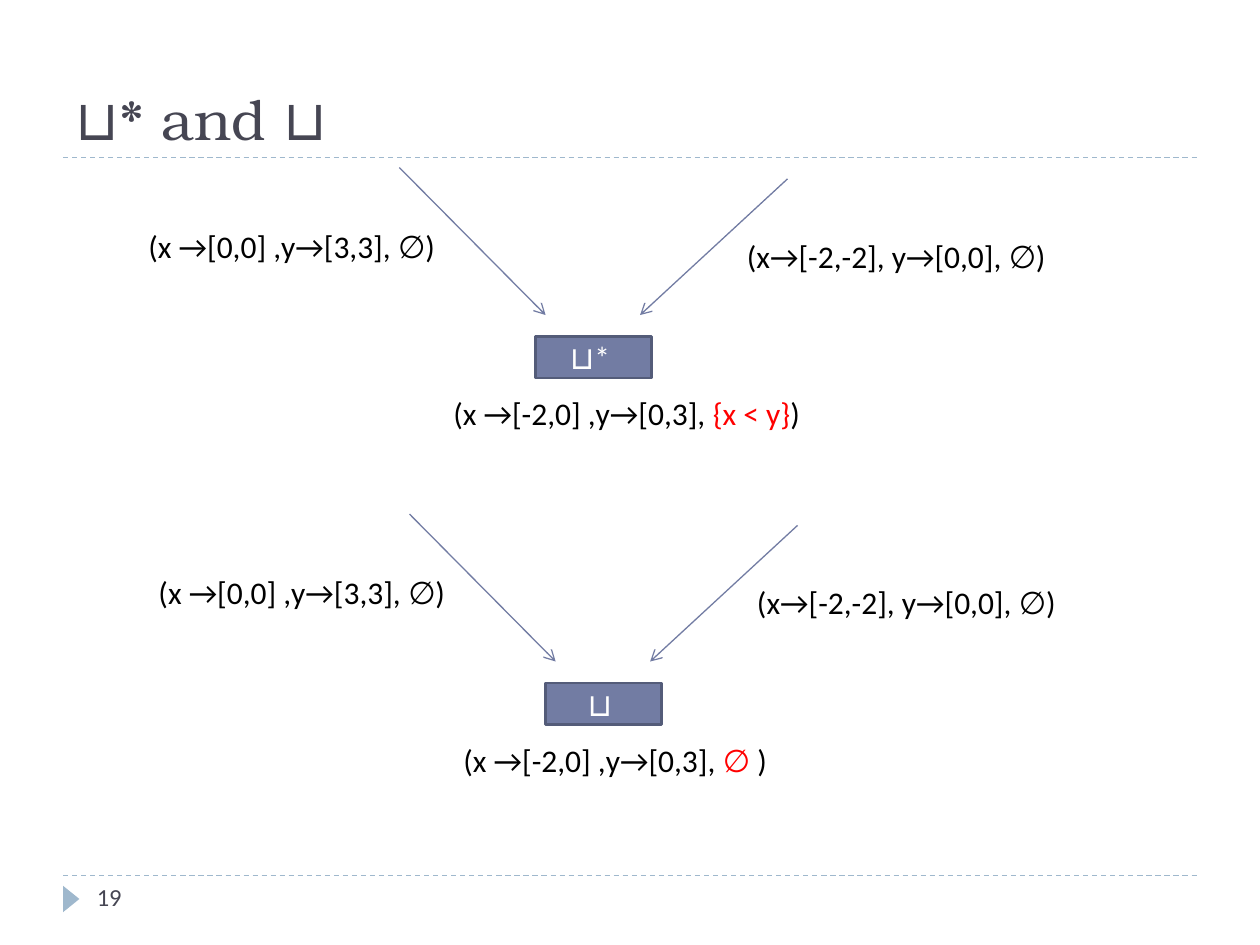
import pptx
from pptx.dml.color import RGBColor
from pptx.enum.dml import MSO_LINE
from pptx.enum.shapes import MSO_CONNECTOR, MSO_SHAPE
from pptx.enum.text import MSO_ANCHOR, MSO_AUTO_SIZE, PP_ALIGN
from pptx.oxml.ns import qn
from pptx.util import Inches, Pt
from lxml import etree

INK, SLATE, EDGE, PALE = "464653", "727CA3", "545C79", "9FB8CD"
BLACK, RED, WHITE = "000000", "FF0000", "FFFFFF"
BODY = {"name": "Calibri", "size": Pt(18)}
TITLE = {"name": "TeX Gyre Bonum", "size": Pt(32)}
NUMBER = {"name": "Calibri", "size": Pt(14)}

LEFT_STATE = "(x →[0,0] ,y→[3,3], ∅)"
RIGHT_STATE = "(x→[-2,-2], y→[0,0], ∅)"
JOINED = "(x →[-2,0] ,y→[0,3], "
JOINS = [
    ("⊔* ", [(JOINED, BLACK), ("{x < y}", RED), (")", BLACK)]),
    ("⊔ ", [(JOINED, BLACK), ("∅", RED), (" )", BLACK)]),
]
STEP_X, STEP_Y = 0.08, 2.75
ARROWS = [((3.17, 1.33), (4.33, 2.5)), ((6.25, 1.42), (5.08, 2.5))]
RULES_Y = [6.95, 1.25]


def rgb(value):
    return RGBColor.from_string(value)


def write(tf, runs, font):
    p = tf.paragraphs[0]
    for text, color in runs:
        r = p.add_run()
        r.text = text
        for name, value in font.items():
            setattr(r.font, name, value)
        r.font.color.rgb = rgb(color)
    return p


def add_text(s, box, runs, font, **frame):
    tf = s.shapes.add_textbox(*map(Inches, box)).text_frame
    for name, value in {"word_wrap": True, **frame}.items():
        setattr(tf, name, value)
    write(tf, runs, font)


def add_line(s, start, end, color, dashed=False, arrow=False):
    c = s.shapes.add_connector(MSO_CONNECTOR.STRAIGHT, *map(Inches, start + end))
    c.line.color.rgb = rgb(color)
    c.line.width = Pt(0.75)
    if dashed:
        c.line.dash_style = MSO_LINE.DASH
    if arrow:
        etree.SubElement(c.line._get_or_add_ln(), qn("a:tailEnd"), type="arrow")
    etree.SubElement(c._element.spPr, qn("a:effectLst"))


def add_filled(s, kind, box, fill, edge=None):
    sp = s.shapes.add_shape(kind, *map(Inches, box))
    sp.shadow.inherit = False
    sp.fill.solid()
    sp.fill.fore_color.rgb = rgb(fill)
    if edge:
        sp.line.color.rgb = rgb(edge)
        sp.line.width = Pt(1.5)
    else:
        sp.line.fill.background()
    return sp


def add_join(s, dx, dy, symbol, result):
    def at(x, y):
        return x + dx, y + dy

    grow = {"auto_size": MSO_AUTO_SIZE.SHAPE_TO_FIT_TEXT}
    for start, end in ARROWS:
        add_line(s, at(*start), at(*end), SLATE, arrow=True)
    add_text(s, at(1.08, 1.75) + (2.5, 0.4), [(LEFT_STATE, BLACK)], BODY, **grow)
    add_text(s, at(5.83, 1.83) + (2.66, 0.4), [(RIGHT_STATE, BLACK)], BODY,
             word_wrap=False, **grow)
    sp = add_filled(s, MSO_SHAPE.RECTANGLE, at(4.25, 2.67) + (0.92, 0.33), SLATE, EDGE)
    sp.text_frame.vertical_anchor = MSO_ANCHOR.MIDDLE
    write(sp.text_frame, [(symbol, WHITE)], BODY).alignment = PP_ALIGN.CENTER
    add_text(s, at(3.5, 3.08) + (3.17, 0.4), result, BODY, **grow)


def main():
    prs = pptx.Presentation()
    prs.slide_width, prs.slide_height = Inches(10), Inches(7.5)
    s = prs.slides.add_slide(prs.slide_layouts[6])
    for y in RULES_Y:
        add_line(s, (0.5, y), (9.5, y), PALE, dashed=True)
    add_filled(s, MSO_SHAPE.ISOSCELES_TRIANGLE, (0.46, 7.07, 0.21, 0.13), PALE).rotation = 90
    add_text(s, (0.5, 0.17, 9, 1.08), [("⊔* and ⊔", INK)], TITLE,
             vertical_anchor=MSO_ANCHOR.BOTTOM)
    add_text(s, (0.67, 6.95, 2.17, 0.4), [("19", INK)], NUMBER)
    for i, (symbol, result) in enumerate(JOINS):
        add_join(s, i * STEP_X, i * STEP_Y, symbol, result)
    prs.save("out.pptx")


if __name__ == "__main__":
    main()
